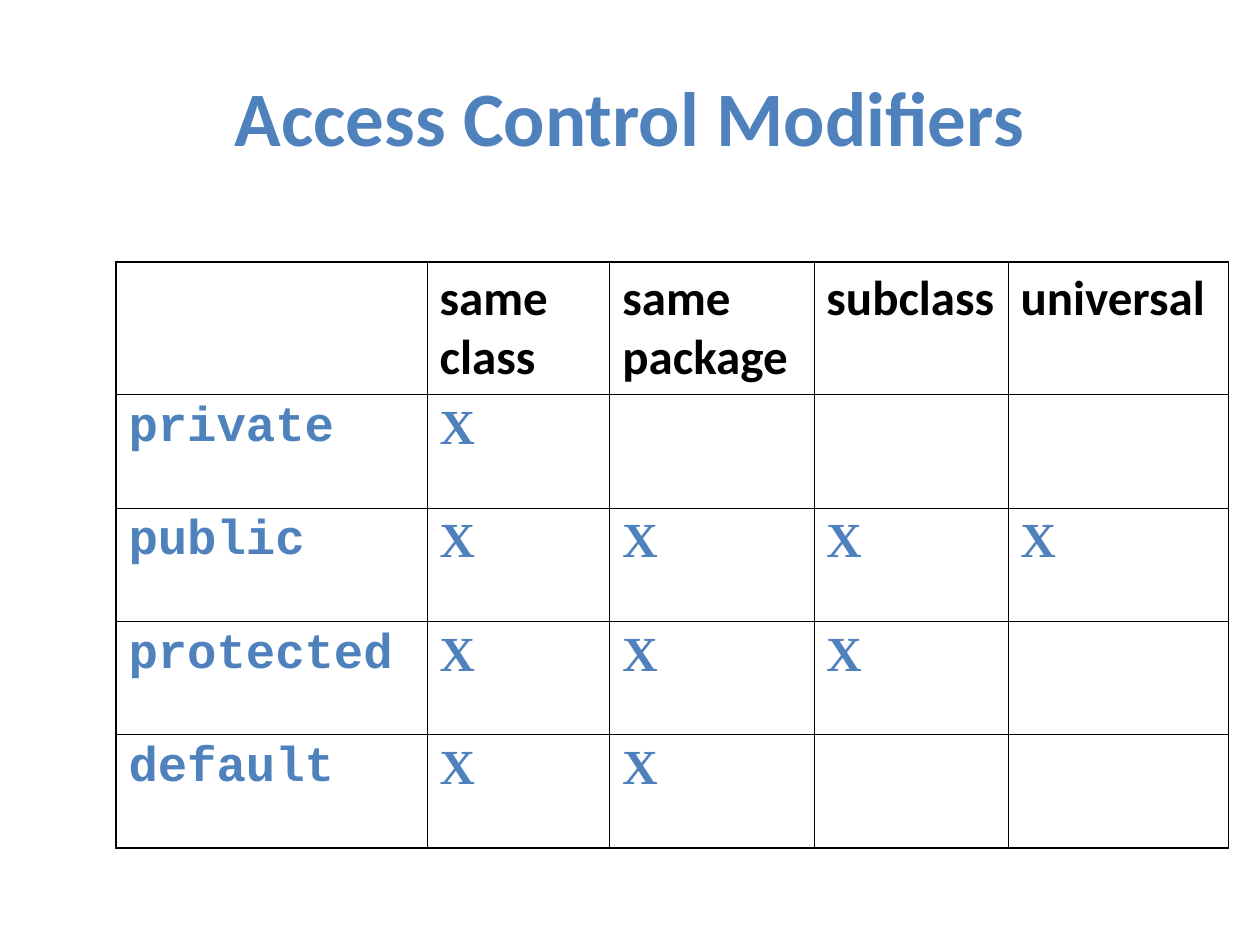
from lxml import etree
from pptx import Presentation
from pptx import util as u
from pptx.dml.color import RGBColor
from pptx.enum import text
from pptx.oxml.ns import qn

COLORS = {"accent": "4F81BD", "ink": "000000", "paper": "FFFFFF"}
SCOPES = ["same class", "same package", "subclass", "universal"]
ACCESS = {"private": 1, "public": 4, "protected": 3, "default": 2}
COLUMNS = [2.47, 1.45, 1.62, 1.54, 1.75]
ROWS = [1.04] + [0.9] * len(ACCESS)
INNER, OUTER = 0.45, 1.08


def style(p, face, size, color):
    p.font.name = face
    p.font.size = u.Pt(size)
    p.font.bold = True
    p.font.color.rgb = RGBColor.from_string(COLORS[color])


def add_title(slide, box):
    sp = slide.shapes.title
    sp.left, sp.top, sp.width, sp.height = box
    tf = sp.text_frame
    tf.text = "Access Control Modifiers"
    tf.vertical_anchor = text.MSO_ANCHOR.MIDDLE
    p = tf.paragraphs[0]
    p.alignment = text.PP_ALIGN.CENTER
    style(p, "Calibri", 44, "accent")


def set_borders(cell, outer):
    tcPr = cell._tc.get_or_add_tcPr()
    for i, side in enumerate("LRTB"):
        ln = etree.Element(qn(f"a:ln{side}"))
        ln.set("w", str(u.Pt(OUTER if side in outer else INNER)))
        fill = etree.SubElement(ln, qn("a:solidFill"))
        etree.SubElement(fill, qn("a:srgbClr")).set("val", COLORS["ink"])
        tcPr.insert(i, ln)


def fill_cell(cell, label, face, color):
    cell.margin_left = cell.margin_right = u.Inches(0.1)
    cell.margin_top = cell.margin_bottom = u.Inches(0.05)
    cell.fill.solid()
    cell.fill.fore_color.rgb = RGBColor.from_string(COLORS["paper"])
    cell.text = label
    p = cell.text_frame.paragraphs[0]
    p.space_before = u.Pt(7)
    style(p, face, 28, color)


def add_access_table(slide, box):
    left, top, width, height = box
    grid = [[""] + SCOPES]
    grid += [[name] + ["X"] * n + [""] * (len(SCOPES) - n) for name, n in ACCESS.items()]
    table = slide.shapes.add_table(len(ROWS), len(COLUMNS), *box).table
    table.first_row = table.horz_banding = False
    for column, share in zip(table.columns, COLUMNS):
        column.width = round(width * share / sum(COLUMNS))
    for row, share in zip(table.rows, ROWS):
        row.height = round(height * share / sum(ROWS))
    for r, labels in enumerate(grid):
        for c, label in enumerate(labels):
            cell = table.cell(r, c)
            if r == 0:
                face, color = "Calibri", "ink"
            else:
                face, color = "Times New Roman" if c else "Courier New", "accent"
            fill_cell(cell, label, face, color)
            edges = {"L": c == 0, "R": c == len(COLUMNS) - 1,
                     "T": r == 0, "B": r == len(ROWS) - 1}
            set_borders(cell, [side for side, on in edges.items() if on])


def main():
    prs = Presentation()
    prs.slide_width, prs.slide_height = u.Inches(10), u.Inches(7.5)
    slide = prs.slides.add_slide(prs.slide_layouts[5])
    add_title(slide, [u.Inches(v) for v in (0.75, 0.25, 8.5, 1.33)])
    add_access_table(slide, [u.Inches(v) for v in (0.92, 2.08, sum(COLUMNS), sum(ROWS))])
    prs.save("out.pptx")


if __name__ == "__main__":
    main()
